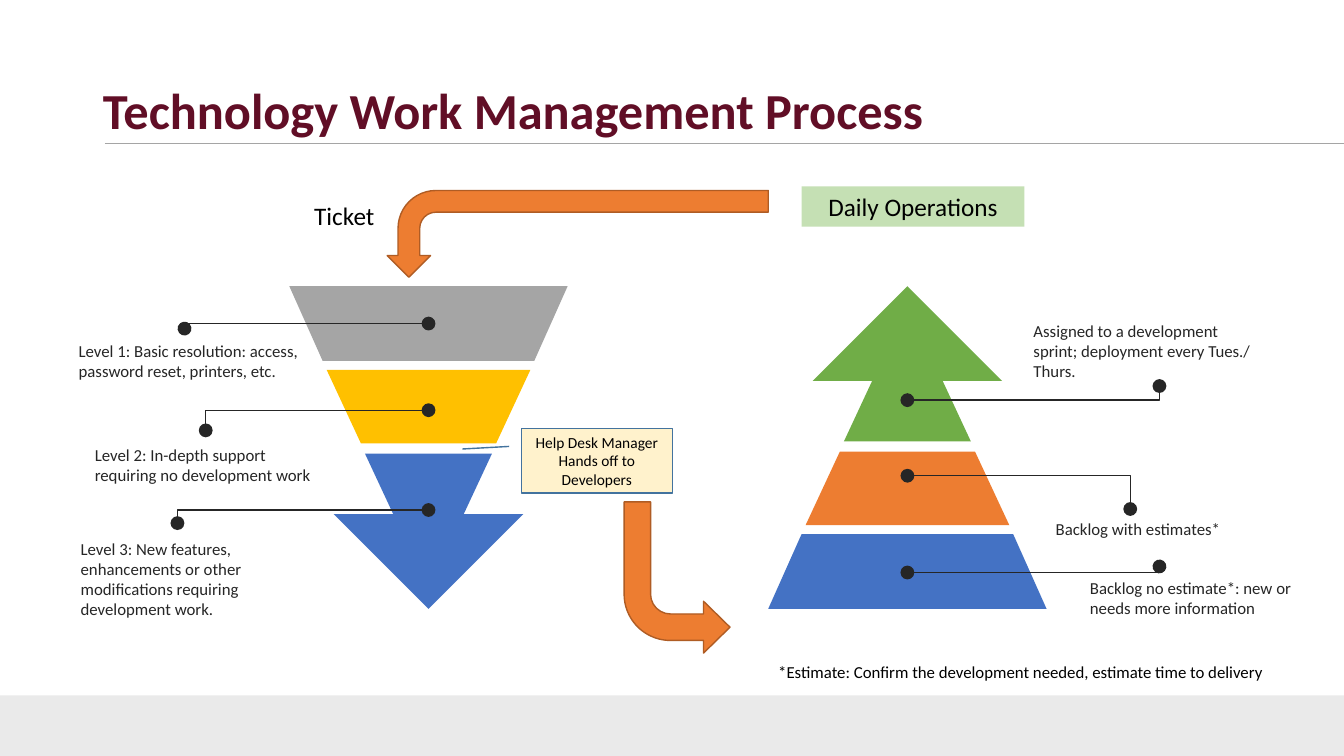
from dataclasses import dataclass

from lxml import etree
from pptx import Presentation
from pptx import util as u
from pptx.dml.color import RGBColor
from pptx.enum import shapes, text
from pptx.oxml.ns import qn

PX = 9144  # EMU per px, 100 px to the inch


@dataclass(frozen=True)
class Theme:
    font: str = "Calibri"
    title_color: str = "610E26"
    ink: str = "262626"
    black: str = "000000"
    band: str = "EAEAEA"
    gray: str = "A5A5A5"
    gold: str = "FFC000"
    blue: str = "4472C4"
    orange: str = "ED7D31"
    orange_edge: str = "AF5C24"
    green: str = "70AD47"
    pale_green: str = "C5E0B4"
    cream: str = "FFF2CC"
    callout_edge: str = "43739E"
    title_size: int = 36
    heading_size: int = 18
    body_size: int = 12
    callout_size: int = 11


def px(*lengths):
    return [u.Emu(length * PX) for length in lengths]


def rgb(color):
    return RGBColor.from_string(color)


def write(shape, words, size, color, font, bold=False, align=None,
          anchor=text.MSO_ANCHOR.TOP, inset=(10, 5), grow=False, spacing=None):
    frame = shape.text_frame
    frame.word_wrap = True
    frame.auto_size = (text.MSO_AUTO_SIZE.SHAPE_TO_FIT_TEXT if grow
                       else text.MSO_AUTO_SIZE.NONE)
    frame.vertical_anchor = anchor
    frame.margin_left = frame.margin_right = u.Emu(inset[0] * PX)
    frame.margin_top = frame.margin_bottom = u.Emu(inset[1] * PX)
    paragraph = frame.paragraphs[0]
    paragraph.alignment = align or text.PP_ALIGN.LEFT
    if spacing:
        paragraph.line_spacing = spacing
    run = paragraph.add_run()
    run.text = words
    run.font.name, run.font.size, run.font.bold = font, u.Pt(size), bold
    run.font.color.rgb = rgb(color)


class ProcessSlide:
    def __init__(self, deck, theme):
        self.theme = theme
        self.slide = deck.slides.add_slide(deck.slide_layouts[5])

    def paint(self, shape, fill=None, edge=None):
        shape.shadow.inherit = False
        if fill:
            shape.fill.solid()
            shape.fill.fore_color.rgb = rgb(fill)
        else:
            shape.fill.background()
        if edge:
            shape.line.color.rgb = rgb(edge)
            shape.line.width = u.Pt(1)
        else:
            shape.line.fill.background()
        return shape

    def title(self, words, *box):
        title = self.slide.shapes.title
        title.left, title.top, title.width, title.height = px(*box)
        write(title, words, self.theme.title_size, self.theme.title_color,
              self.theme.font, bold=True, anchor=text.MSO_ANCHOR.MIDDLE, spacing=0.9)

    def rule(self, x1, x2, y):
        rule = self.slide.shapes.add_connector(
            shapes.MSO_CONNECTOR.STRAIGHT, *px(x1, y, x2, y))
        rule.line.color.rgb = rgb(self.theme.gray)
        rule.line.width = u.Pt(0.5)
        etree.SubElement(rule._element.spPr, qn("a:effectLst"))

    def preset(self, kind, box, fill, edge=None):
        shape = self.slide.shapes.add_shape(kind, *px(*box))
        return self.paint(shape, fill, edge)

    def label(self, words, box, size=None, color=None, **options):
        label = self.slide.shapes.add_textbox(*px(*box))
        write(label, words, size or self.theme.body_size,
              color or self.theme.ink, self.theme.font, grow=True, **options)

    def outline(self, points, fill=None, edge=None, close=True):
        start, *rest = [px(*point) for point in points]
        builder = self.slide.shapes.build_freeform(*start)
        builder.add_line_segments(rest, close=close)
        return self.paint(builder.convert_to_shape(), fill, edge)

    def stack(self, center_x, direction, colors):
        """Two bands narrowing to an arrow; direction 1 is down, -1 is up."""
        middle = 444
        bands = [
            [(-138, -160), (138, -160), (105, -86), (-105, -86)],
            [(-101, -77), (101, -77), (67, -4), (-67, -4)],
            [(-63, 6), (63, 6), (35, 66), (94, 66), (0, 160), (-94, 66), (-35, 66)],
        ]
        for band, color in zip(bands, colors):
            self.outline([(center_x + x, middle + direction * y) for x, y in band], color)

    def leader(self, end_x, end_y, level, center_x):
        """An elbow line from a note to a band, with a dot at both ends."""
        leader = self.outline([(end_x, end_y), (end_x, level), (center_x, level)],
                              edge=self.theme.ink, close=False)
        line = leader._element.spPr.find(qn("a:ln"))
        for tip in ("a:headEnd", "a:tailEnd"):
            etree.SubElement(line, qn(tip), type="oval", w="lg", len="lg")

    def bent_arrow(self, box, rotation=0, head=0.25):
        arrow = self.preset(shapes.MSO_SHAPE.BENT_ARROW, box,
                            self.theme.orange, self.theme.orange_edge)
        arrow.adjustments[1] = head
        arrow.rotation = rotation
        arrow._element.spPr.find(qn("a:xfrm")).set("flipV", "1")

    def callout(self, words, box, pointer):
        callout = self.preset(shapes.MSO_SHAPE.LINE_CALLOUT_1, box,
                              self.theme.cream, self.theme.callout_edge)
        for index, value in enumerate(pointer):
            callout.adjustments[index] = value
        write(callout, words, self.theme.callout_size, self.theme.black, self.theme.font,
              align=text.PP_ALIGN.CENTER, anchor=text.MSO_ANCHOR.MIDDLE)


def main():
    deck = Presentation()
    deck.slide_width, deck.slide_height = u.Inches(13.33), u.Inches(7.5)
    theme = Theme()
    page = ProcessSlide(deck, theme)
    centered = text.PP_ALIGN.CENTER

    # Frame and title
    page.preset(shapes.MSO_SHAPE.RECTANGLE, (0, 690, 1333, 60), theme.band)
    page.rule(104, 1333, 142)
    page.title("Technology Work Management Process", 92, 40, 1150, 145)

    # Help desk funnel and development pyramid
    funnel_x, pyramid_x = 425, 900
    page.stack(funnel_x, 1, (theme.gray, theme.gold, theme.blue))
    page.stack(pyramid_x, -1, (theme.blue, theme.orange, theme.green))

    # Notes: centre, leader end x and y, leader level, text box, words
    notes = [
        (funnel_x, 183, 326, 321, (78, 338, 221, 40),
         "Level 1: Basic resolution: access, password reset, printers, etc."),
        (funnel_x, 204, 427, 407, (94, 441, 221, 40),
         "Level 2: In-depth support requiring no development work"),
        (funnel_x, 176, 519, 506, (80, 534, 221, 80),
         "Level 3: New features, enhancements or other modifications "
         "requiring development work."),
        (pyramid_x, 1150, 383, 397, (1025, 318, 221, 61),
         "Assigned to a development sprint; deployment every Tues./ Thurs."),
        (pyramid_x, 1121, 505, 472, (1047, 515, 221, 20), "Backlog with estimates*"),
        (pyramid_x, 1150, 562, 568, (1081, 573, 221, 40),
         "Backlog no estimate*: new or needs more information"),
    ]
    for center_x, end_x, end_y, level, box, words in notes:
        page.leader(end_x, end_y, level, center_x)
        page.label(words, box, inset=(0, 0))

    # Daily operations to ticket
    page.label("Ticket", (290, 194, 103, 41), theme.heading_size, theme.black,
               align=centered)
    page.bent_arrow((530, 43, 86, 378), rotation=90)
    operations = page.preset(shapes.MSO_SHAPE.RECTANGLE, (795, 185, 221, 40),
                             theme.pale_green)
    write(operations, "Daily Operations", theme.heading_size, theme.black, theme.font,
          align=centered, grow=True)

    # Hand-off to developers
    page.callout("Help Desk Manager Hands off to Developers", (517, 425, 150, 64),
                 (0.28, -0.08, 0.32, -0.39))
    page.bent_arrow((619, 498, 105, 150), head=0.245)

    # Footnote
    page.label("*Estimate: Confirm the development needed, estimate time to delivery",
               (762, 652, 525, 30), color=theme.black)

    deck.save("out.pptx")


if __name__ == "__main__":
    main()
